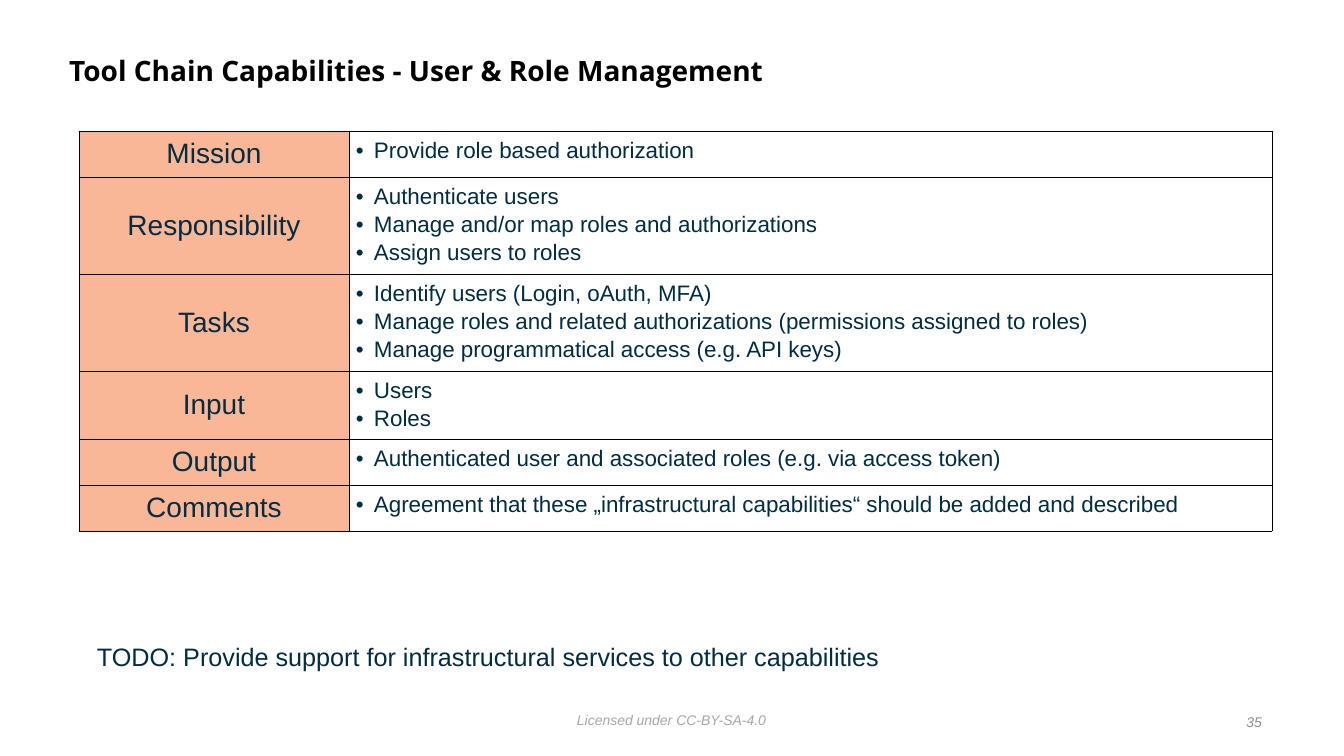
from lxml.etree import SubElement
from pptx import Presentation
from pptx.dml.color import RGBColor
from pptx.enum.text import MSO_ANCHOR, PP_ALIGN
from pptx.oxml.ns import qn
from pptx.util import Pt

PX = 914400 / 100.8
NAVY = RGBColor(0x00, 0x2D, 0x41)
PEACH = RGBColor(0xFA, 0xB7, 0x98)
BLACK = RGBColor(0, 0, 0)
SILVER = RGBColor(0xA7, 0xA7, 0xA7)
GRAY = RGBColor(0x88, 0x8C, 0x91)

TITLE = "Tool Chain Capabilities - User & Role Management"
ROWS = [
    ("Mission", ["Provide role based authorization"]),
    ("Responsibility", [
        "Authenticate users",
        "Manage and/or map roles and authorizations",
        "Assign users to roles"]),
    ("Tasks", [
        "Identify users (Login, oAuth, MFA)",
        "Manage roles and related authorizations (permissions assigned to roles)",
        "Manage programmatical access (e.g. API keys)"]),
    ("Input", ["Users", "Roles"]),
    ("Output", ["Authenticated user and associated roles (e.g. via access token)"]),
    ("Comments", ["Agreement that these „infrastructural capabilities“ should be "
                  "added and described"]),
]
# text, box in px, size, colour, italic, alignment
NOTES = [
    ("Licensed under CC-BY-SA-4.0", (572, 707, 201, 25), 10, SILVER, True, PP_ALIGN.LEFT),
    ("35", (1240, 709, 27, 25), 10, GRAY, True, PP_ALIGN.RIGHT),
    ("TODO: Provide support for infrastructural services to other capabilities",
     (92, 636, 810, 40), 18, NAVY, False, PP_ALIGN.LEFT),
]
LEFT, TOP = 79, 131
COLS = [270, 923]
LINE, PAD, LOW = 29, 10, 46


def px(n):
    return round(n * PX)


def style(par, size, color, name="Arial", bold=False, italic=False):
    font = par.font
    font.size, font.name = Pt(size), name
    font.bold, font.italic = bold, italic
    font.color.rgb = color


def inset(obj, n):
    """Give a cell or text frame the same margin on all sides."""
    obj.margin_left = obj.margin_right = px(n)
    obj.margin_top = obj.margin_bottom = px(n)


def border(cell):
    props = cell._tc.get_or_add_tcPr()
    for side in "LRTB":
        line = SubElement(props, qn(f"a:ln{side}"), w=str(Pt(0.5)))
        fill = SubElement(line, qn("a:solidFill"))
        SubElement(fill, qn("a:srgbClr"), val=str(BLACK))


def bullet(par):
    props = par._p.get_or_add_pPr()
    props.set("marL", str(px(18)))
    props.set("indent", str(-px(18)))
    SubElement(props, qn("a:buFont"), typeface="Arial")
    SubElement(props, qn("a:buChar"), char="•")


def add_title(slide):
    title = slide.shapes.title
    title.left, title.top, title.width, title.height = map(px, (64, 39, 1084, 66))
    frame = title.text_frame
    frame.text = TITLE
    frame.vertical_anchor = MSO_ANCHOR.MIDDLE
    inset(frame, 5)
    par = frame.paragraphs[0]
    par.alignment, par.line_spacing = PP_ALIGN.LEFT, 0.9
    style(par, 20, BLACK, "Open Sans", bold=True)


def add_grid(slide):
    highs = [max(LOW, PAD + LINE * len(items)) for _, items in ROWS]
    box = map(px, (LEFT, TOP, sum(COLS), sum(highs)))
    table = slide.shapes.add_table(len(ROWS), len(COLS), *box).table
    table.first_row = table.horz_banding = False
    for col, width in zip(table.columns, COLS):
        col.width = px(width)
    for row, high, (label, items) in zip(table.rows, highs, ROWS):
        row.height = px(high)
        head, body = row.cells
        border(head)
        border(body)
        inset(head, 0)
        inset(body, 7)
        head.fill.solid()
        head.fill.fore_color.rgb = PEACH
        body.fill.background()
        head.vertical_anchor = MSO_ANCHOR.MIDDLE
        head.text = label
        par = head.text_frame.paragraphs[0]
        par.alignment = PP_ALIGN.CENTER
        style(par, 20, NAVY)
        body.text = "\n".join(items)
        for i, par in enumerate(body.text_frame.paragraphs):
            if i:
                par.space_before = Pt(2.4)
            bullet(par)
            style(par, 16, NAVY)


def add_note(slide, text, box, size, color, italic, align):
    frame = slide.shapes.add_textbox(*map(px, box)).text_frame
    frame.text = text
    frame.word_wrap = False
    inset(frame, 5)
    par = frame.paragraphs[0]
    par.alignment = align
    style(par, size, color, italic=italic)


def main():
    deck = Presentation()
    deck.slide_width, deck.slide_height = px(1344), px(756)
    slide = deck.slides.add_slide(deck.slide_layouts[5])
    add_title(slide)
    add_grid(slide)
    for note in NOTES:
        add_note(slide, *note)
    deck.save("out.pptx")


if __name__ == "__main__":
    main()
